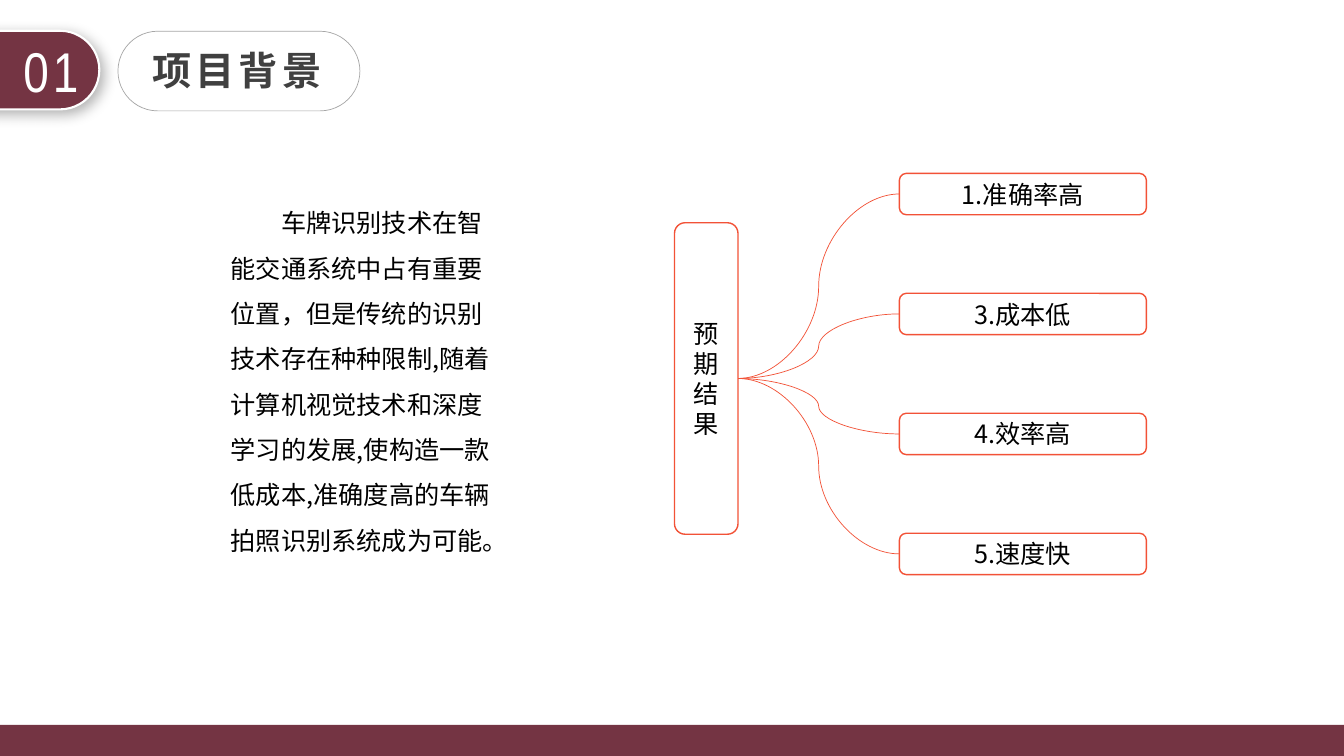
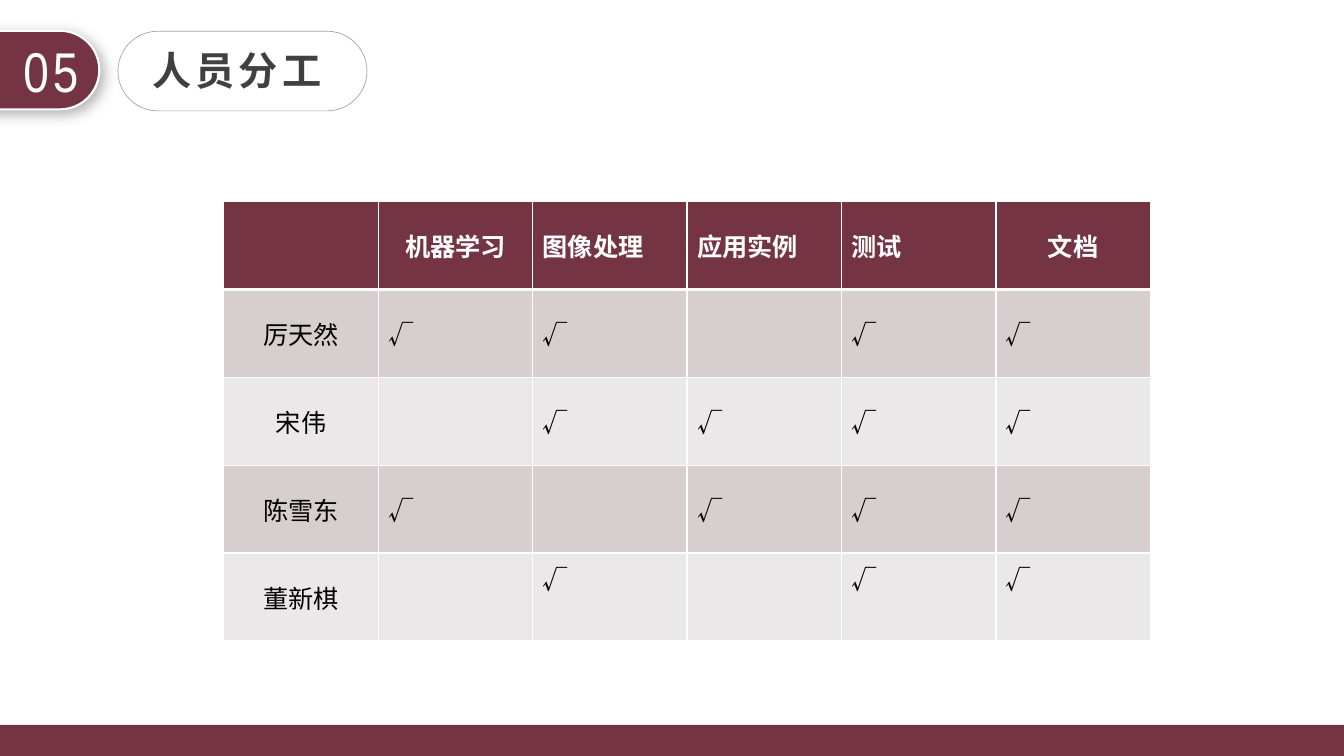
from lxml.etree import SubElement
from pptx import Presentation
from pptx.dml.color import RGBColor
from pptx.enum.shapes import MSO_CONNECTOR, MSO_SHAPE
from pptx.enum.text import MSO_ANCHOR, MSO_AUTO_SIZE, PP_ALIGN
from pptx.oxml.ns import qn
from pptx.util import Inches, Pt

WINE = RGBColor(0x74, 0x34, 0x43)
CORAL = RGBColor(0xF2, 0x52, 0x37)
WHITE = RGBColor(0xFF, 0xFF, 0xFF)
BLACK = RGBColor(0, 0, 0)
DARK = RGBColor(0x40, 0x40, 0x40)
GRAY = RGBColor(0xA6, 0xA6, 0xA6)
BANDS = [RGBColor(0xD6, 0xCE, 0xCF), RGBColor(0xEB, 0xE8, 0xE9)]
SANS = "Noto Sans CJK SC"
NARROW = "Arial Narrow"
LEFT, CENTER = PP_ALIGN.LEFT, PP_ALIGN.CENTER
TICK = "√"


class Deck:
    def __init__(self):
        self.prs = Presentation()
        self.prs.slide_width = Inches(13.33)
        self.prs.slide_height = Inches(7.5)
        self.slide = None

    # Text
    def run(self, para, text, size=18, color=BLACK, bold=False, face=SANS, gap=0):
        run = para.add_run()
        run.text = text
        font = run.font
        font.size, font.bold, font.name = Pt(size), bold, face
        font.color.rgb = color
        props = run._r.get_or_add_rPr()
        SubElement(props, qn("a:ea")).set("typeface", face)
        if gap:
            props.set("spc", str(gap * 100))

    def text(self, box, text, align=LEFT, home=None, **style):
        item = (home or self.slide).shapes.add_textbox(*map(Inches, box))
        frame = item.text_frame
        frame.word_wrap = True
        frame.auto_size = MSO_AUTO_SIZE.SHAPE_TO_FIT_TEXT
        para = frame.paragraphs[0]
        para.alignment = align
        self.run(para, text, **style)
        return para

    # Shapes
    def shape(self, kind, box, fill=None, line=None, width=1, home=None):
        item = (home or self.slide).shapes.add_shape(kind, *map(Inches, box))
        item.shadow.inherit = False
        if fill is None:
            item.fill.background()
        else:
            item.fill.solid()
            item.fill.fore_color.rgb = fill
        if line is None:
            item.line.fill.background()
        else:
            item.line.color.rgb = line
            item.line.width = Pt(width)
        return item

    def pill(self, box, **style):
        item = self.shape(MSO_SHAPE.ROUNDED_RECTANGLE, box, **style)
        item.adjustments[0] = 0.5
        return item

    def node(self, box, text):
        item = self.shape(MSO_SHAPE.ROUNDED_RECTANGLE, box, WHITE, CORAL)
        frame = item.text_frame
        frame.word_wrap = True
        frame.vertical_anchor = MSO_ANCHOR.MIDDLE
        frame.paragraphs[0].alignment = CENTER
        self.run(frame.paragraphs[0], text)
        return item

    def curve(self, start, end):
        link = self.slide.shapes.add_connector(MSO_CONNECTOR.CURVE, 0, 0, 0, 0)
        link.begin_connect(start, 3)
        link.end_connect(end, 1)
        link.line.color.rgb = CORAL
        link.line.width = Pt(0.5)
        SubElement(link._element.spPr, qn("a:effectLst"))

    def shade(self, item):
        effects = item._element.spPr.find(qn("a:effectLst"))
        outer = SubElement(effects, qn("a:outerShdw"), blurRad=str(Pt(10)),
                           dist=str(Pt(4)), dir=str(45 * 60000), rotWithShape="0")
        color = SubElement(outer, qn("a:srgbClr"), val=str(BLACK))
        SubElement(color, qn("a:alpha"), val="30000")

    # Table
    def edge(self, cell, widths):
        props = cell._tc.get_or_add_tcPr()
        for spot, (side, width) in enumerate(widths.items()):
            line = SubElement(props, qn("a:ln" + side), w=str(Pt(width)))
            fill = SubElement(line, qn("a:solidFill"))
            SubElement(fill, qn("a:srgbClr"), val=str(WHITE))
            props.insert(spot, line)

    def table(self, box, rows, mid):
        grid = self.slide.shapes.add_table(
            len(rows), len(rows[0]), *map(Inches, box)).table
        for r, row in enumerate(rows):
            head = r == 0
            for c, text in enumerate(row):
                cell = grid.cell(r, c)
                cell.fill.solid()
                cell.fill.fore_color.rgb = WINE if head else BANDS[(r - 1) % 2]
                cell.vertical_anchor = MSO_ANCHOR.MIDDLE
                self.edge(cell, {"L": 1, "R": 1, "T": 3 if r == 1 else 1,
                                 "B": 3 if head else 1})
                if text:
                    para = cell.text_frame.paragraphs[0]
                    para.alignment = CENTER if c == 0 or text in mid else LEFT
                    self.run(para, text, color=WHITE if head else BLACK, bold=head)
        return grid

    # Shared page frame: number badge, title pill, bottom band
    def page(self, number, title, width):
        self.slide = self.prs.slides.add_slide(self.prs.slide_layouts[6])
        badge = self.slide.shapes.add_group_shape()
        tab = self.pill((-0.46, -0.36, 0.78, 2.11), fill=WINE, line=WHITE,
                        width=1.5, home=badge)
        tab.rotation = 90
        self.shade(tab)
        self.text((0.02, 0.31, 0.97, 0.77), number, CENTER, badge,
                  size=40, color=WHITE, face=NARROW, gap=3)
        self.pill((1.17, 0.31, width, 0.79), line=GRAY, width=0.5)
        self.text((1.41, 0.41, 1.96, 0.57), title,
                  size=28, color=DARK, bold=True, gap=3)
        self.shape(MSO_SHAPE.RECTANGLE, (0, 7.19, 13.33, 0.31), WINE)


def goals(deck):
    deck.page("01", "项目背景", 2.4)
    para = deck.text(
        (2.19, 1.86, 2.78, 4.04),
        "车牌识别技术在智能交通系统中占有重要位置，但是传统的识别技术存在种种限制,"
        "随着计算机视觉技术和深度学习的发展,使构造一款低成本,"
        "准确度高的车辆拍照识别系统成为可能。")
    para.line_spacing = 1.5
    para._p.get_or_add_pPr().set("indent", str(Inches(0.5)))

    # Mind map
    stem = deck.node((6.69, 2.21, 0.63, 3.09), "预期结果")
    names = ["1.准确率高", "3.成本低", "4.效率高", "5.速度快"]
    leaves = [deck.node((8.92, 1.72 + 1.19 * i, 2.45, 0.41), name)
              for i, name in enumerate(names)]
    for leaf in leaves:
        deck.curve(stem, leaf)


def roles(deck):
    deck.page("05", "人员分工", 2.47)
    tasks = ["机器学习", "图像处理", "应用实例", "测试", "文档"]
    team = {
        "厉天然": (1, 1, 0, 1, 1),
        "宋伟": (0, 1, 1, 1, 1),
        "陈雪东": (1, 0, 1, 1, 1),
        "董新棋": (0, 1, 0, 1, 1),
    }
    rows = [["", *tasks]]
    rows += [[name, *(TICK if mark else "" for mark in marks)]
             for name, marks in team.items()]
    grid = deck.table((2.22, 2, 9.19, 4.36), rows, (tasks[0], tasks[-1]))
    # Ticks in the last row sit higher
    for c in range(1, len(rows[0])):
        grid.cell(len(rows) - 1, c).margin_bottom = Inches(0.41)


def main():
    deck = Deck()
    goals(deck)
    roles(deck)
    deck.prs.save("out.pptx")


if __name__ == "__main__":
    main()
